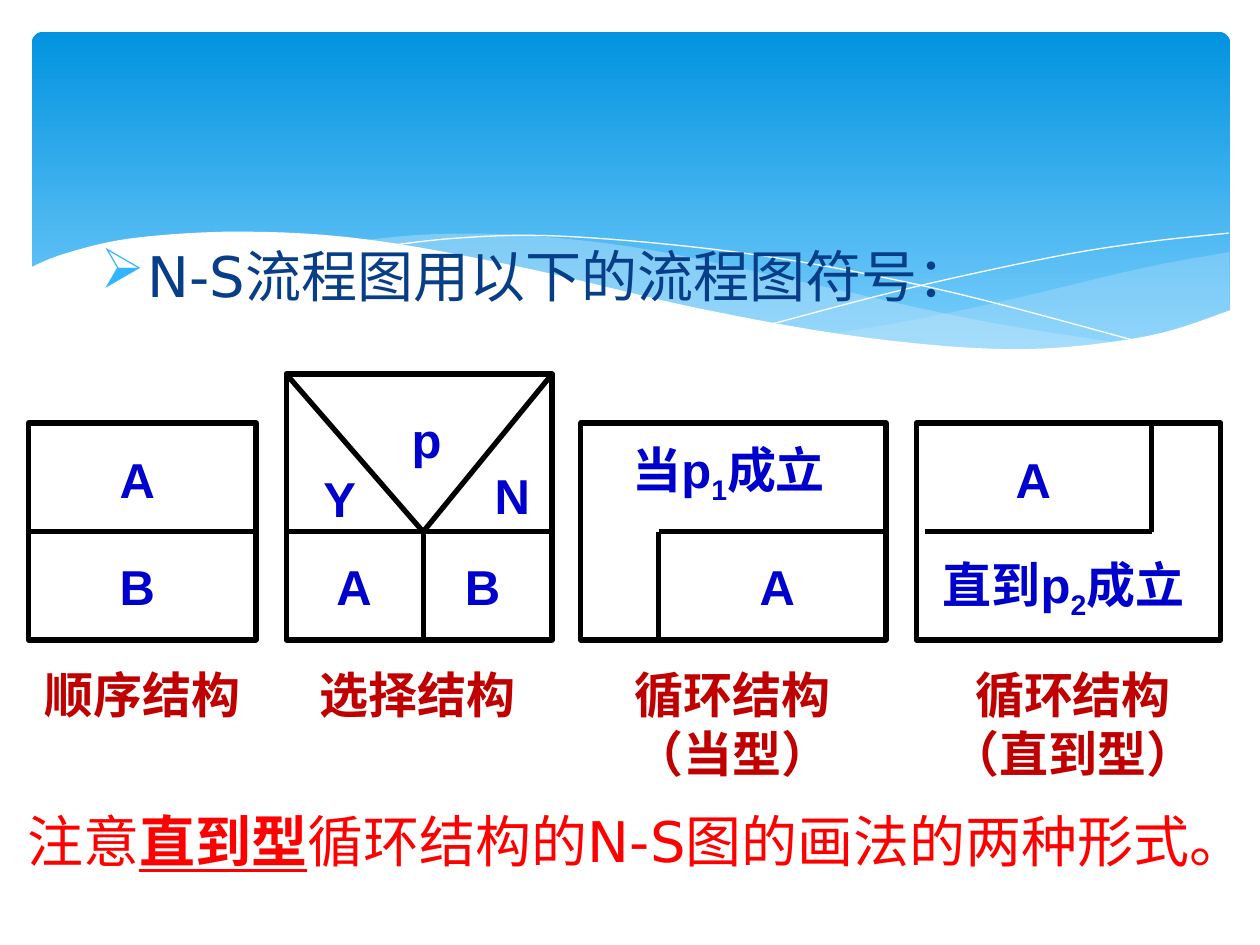
from lxml import etree
from pptx import Presentation
from pptx.dml.color import RGBColor
from pptx.enum.shapes import MSO_CONNECTOR, MSO_SHAPE
from pptx.enum.text import PP_ALIGN
from pptx.oxml.ns import qn
from pptx.util import Cm, Pt

STRAIGHT = MSO_CONNECTOR.STRAIGHT
PROCESS, ROUNDED = MSO_SHAPE.FLOWCHART_PROCESS, MSO_SHAPE.ROUNDED_RECTANGLE
LEFT, CENTER = PP_ALIGN.LEFT, PP_ALIGN.CENTER
THEME = {
    "label_font": "Arial", "body_font": "DejaVu Sans",
    "label_size": 28, "body_size": 32, "line_width": 3,
    "label": "0000CC", "caption": "C00000", "body": "073E87", "note": "FF0000",
    "bullet": "31B6FD", "line": "000000", "white": "FFFFFF", "wave": "C6E7FC",
    "header_top": "0293E0", "header_bottom": "83D3FE",
}

# All positions are in centimetres.
HEADING = "N-S流程图用以下的流程图符号："
NOTE = ("注意", "直到型", "循环结构的N-S图的画法的两种形式。")
BOTTOM, MIDDLE, TOP, TALL_TOP = 12.9, 10.72, 8.53, 7.54
UPPER, LOWER, CAPTION_TOP = 8.94, 11.1, 13.28
LABEL_WIDTH, LABEL_HEIGHT = 1.98, 1.45

# frame: left, top, right; lines: x1, y1, x2, y2;
# labels: runs (every second one is a subscript), centre x, top
DIAGRAMS = [
    {"frame": (0.58, TOP, 5.16),
     "lines": [(0.58, MIDDLE, 5.16, MIDDLE)],
     "labels": [(("A",), 2.77, UPPER), (("B",), 2.77, LOWER)],
     "caption": (["顺序结构"], 2.88, 4.95)},
    {"frame": (5.77, TALL_TOP, 11.13),
     "lines": [(5.77, MIDDLE, 11.13, MIDDLE), (5.77, TALL_TOP, 8.53, MIDDLE),
               (11.13, TALL_TOP, 8.53, MIDDLE), (8.53, MIDDLE, 8.53, BOTTOM)],
     "labels": [(("A",), 7.14, LOWER), (("B",), 9.73, LOWER), (("Y",), 6.85, 9.32),
                (("N",), 10.33, 9.25), (("p",), 8.6, 8.13)],
     "caption": (["选择结构"], 8.42, 4.95)},
    {"frame": (11.71, TOP, 17.86),
     "lines": [(13.28, MIDDLE, 17.86, MIDDLE), (13.28, MIDDLE, 13.28, BOTTOM)],
     "labels": [(("A",), 15.67, LOWER), (("当p", "1", "成立"), 14.69, 8.74)],
     "caption": (["循环结构", "（当型）"], 14.77, 4.95)},
    {"frame": (18.47, TOP, 24.61),
     "lines": [(18.64, MIDDLE, 23.22, MIDDLE), (23.22, TOP, 23.22, MIDDLE)],
     "labels": [(("A",), 20.83, UPPER), (("直到p", "2", "成立"), 21.44, 11.05)],
     "caption": (["循环结构（直到型）"], 21.63, 5.56)},
]

# Each wave is a chain of smooth curves; an opacity of None marks an open line.
WAVES = [
    ("wave", 29, [
        [(24.79, 5.08), (23.01, 5.41), (20.45, 6.02), (18.52, 6.43), (16.79, 6.73)],
        [(16.79, 6.73), (18.59, 6.96), (20.4, 7.06), (22.15, 6.96), (23.57, 6.68),
         (24.79, 6.27)]]),
    ("wave", 40, [
        [(22.68, 6.93), (19.69, 6.45), (15.98, 5.64), (13.06, 5.03), (10.67, 4.75),
         (8.74, 4.72), (7.26, 4.85)],
        [(7.26, 4.85), (9.73, 5.26), (12.47, 5.89), (15.27, 6.48), (18.01, 6.91),
         (20.5, 7.09), (22.68, 6.93)]]),
    ("white", None, [
        [(7.85, 4.95), (9.22, 4.8), (11, 4.75), (13.51, 4.93), (16.15, 5.28),
         (19.3, 5.92), (23.04, 6.91)]]),
    ("white", None, [
        [(15.57, 6.53), (18.29, 5.82), (21.23, 5.18), (23.11, 4.88), (24.77, 4.7)]]),
    ("white", 100, [
        [(24.82, 6.25), (23.11, 6.78), (20.55, 7.04), (17.48, 6.81), (14.1, 6.22),
         (10.62, 5.41), (7.42, 4.83), (4.9, 4.67), (2.69, 4.8), (1.32, 5.11),
         (0.58, 5.41)],
        [(0.58, 8.36), (24.82, 8.36)]]),
]


def color(name):
    return RGBColor.from_string(THEME[name])


def smooth(points, steps=6):
    """Return a Catmull-Rom curve through the points."""
    padded = [points[0], *points, points[-1]]
    curve = [points[0]]
    for a, b, c, d in zip(padded, padded[1:], padded[2:], padded[3:]):
        for step in range(1, steps + 1):
            t = step / steps
            curve.append(tuple(
                0.5 * (2 * q + (r - p) * t + (2 * p - 5 * q + 4 * r - s) * t ** 2
                       + (3 * q - p - 3 * r + s) * t ** 3)
                for p, q, r, s in zip(a, b, c, d)))
    return curve


def add_wave(shapes, color_name, opacity, curves):
    points = [(Cm(x), Cm(y)) for curve in curves for x, y in smooth(curve)]
    builder = shapes.build_freeform(*points[0], scale=1.0)
    builder.add_line_segments(points[1:], close=opacity is not None)
    wave = builder.convert_to_shape()
    wave.shadow.inherit = False
    if opacity is None:
        wave.fill.background()
        wave.line.color.rgb = color(color_name)
        wave.line.width = Pt(0)
        return
    wave.line.fill.background()
    wave.fill.solid()
    wave.fill.fore_color.rgb = color(color_name)
    if opacity < 100:
        rgb = wave._element.spPr.find(".//" + qn("a:srgbClr"))
        etree.SubElement(rgb, qn("a:alpha")).set("val", str(opacity * 1000))


def add_header(shapes):
    header = shapes.add_shape(ROUNDED, Cm(0.64), Cm(0.64), Cm(24.16), Cm(6.86))
    header.adjustments[0] = 0.034
    header.shadow.inherit = False
    header.line.fill.background()
    header.fill.gradient()
    header.fill.gradient_angle = 270
    for stop, name in zip(header.fill.gradient_stops, ("header_top", "header_bottom")):
        stop.color.rgb = color(name)
    group = shapes.add_group_shape()
    for wave in WAVES:
        add_wave(group.shapes, *wave)


def add_text(shapes, box, paragraphs, kind, color_name, alignment=CENTER, wrap=True):
    """Add a text box; each paragraph is a sequence of runs."""
    text_frame = shapes.add_textbox(*map(Cm, box)).text_frame
    text_frame.word_wrap = wrap
    for index, runs in enumerate(paragraphs):
        paragraph = text_frame.add_paragraph() if index else text_frame.paragraphs[0]
        paragraph.alignment = alignment
        for text in runs:
            run = paragraph.add_run()
            run.text = text
            run.font.name = THEME[kind + "_font"]
            run.font.size = Pt(THEME[kind + "_size"])
            run.font.bold = kind == "label"
            run.font.color.rgb = color(color_name)
    return text_frame.paragraphs[0]


def add_bullet(paragraph, character, indent):
    properties = paragraph._p.get_or_add_pPr()
    properties.set("marL", str(Cm(indent)))
    properties.set("indent", str(-Cm(indent)))
    bullet_color = etree.SubElement(properties, qn("a:buClr"))
    etree.SubElement(bullet_color, qn("a:srgbClr")).set("val", THEME["bullet"])
    etree.SubElement(properties, qn("a:buChar")).set("char", character)


def add_diagram(shapes, diagram):
    group = shapes.add_group_shape().shapes
    left, top, right = diagram["frame"]
    frame = group.add_shape(PROCESS, Cm(left), Cm(top), Cm(right - left), Cm(BOTTOM - top))
    frame.shadow.inherit = False
    frame.fill.background()
    lines = [group.add_connector(STRAIGHT, *map(Cm, ends)) for ends in diagram["lines"]]
    for line in lines:
        etree.SubElement(line._element.spPr, qn("a:effectLst"))
    for shape in [frame, *lines]:
        shape.line.color.rgb = color("line")
        shape.line.width = Pt(THEME["line_width"])
    for runs, center, label_top in diagram["labels"]:
        box = (center - LABEL_WIDTH / 2, label_top, LABEL_WIDTH, LABEL_HEIGHT)
        if len(runs) > 1:
            box = (center - 2.97, label_top, 5.94, 1.6)
        paragraph = add_text(group, box, [runs], "label", "label", wrap=False)
        for run in paragraph.runs[1::2]:
            run.font._element.set("baseline", "-25000")
    rows, center, width = diagram["caption"]
    add_text(shapes, (center - width / 2, CAPTION_TOP, width, LABEL_HEIGHT),
             [(row,) for row in rows], "label", "caption")


def main():
    presentation = Presentation()
    presentation.slide_width, presentation.slide_height = Cm(25.4), Cm(19.05)
    shapes = presentation.slides.add_slide(presentation.slide_layouts[6]).shapes
    add_header(shapes)
    heading = add_text(shapes, (1.78, 4.75, 22.23, 2.59), [(HEADING,)], "body", "body", LEFT)
    add_bullet(heading, "➢", 0.95)
    for diagram in DIAGRAMS:
        add_diagram(shapes, diagram)
    note = add_text(shapes, (0.3, 16.13, 24.41, 2.18), [NOTE], "body", "note", LEFT)
    for run in note.runs[1::2]:
        run.font.bold = run.font.underline = True
    presentation.save("out.pptx")


if __name__ == "__main__":
    main()
